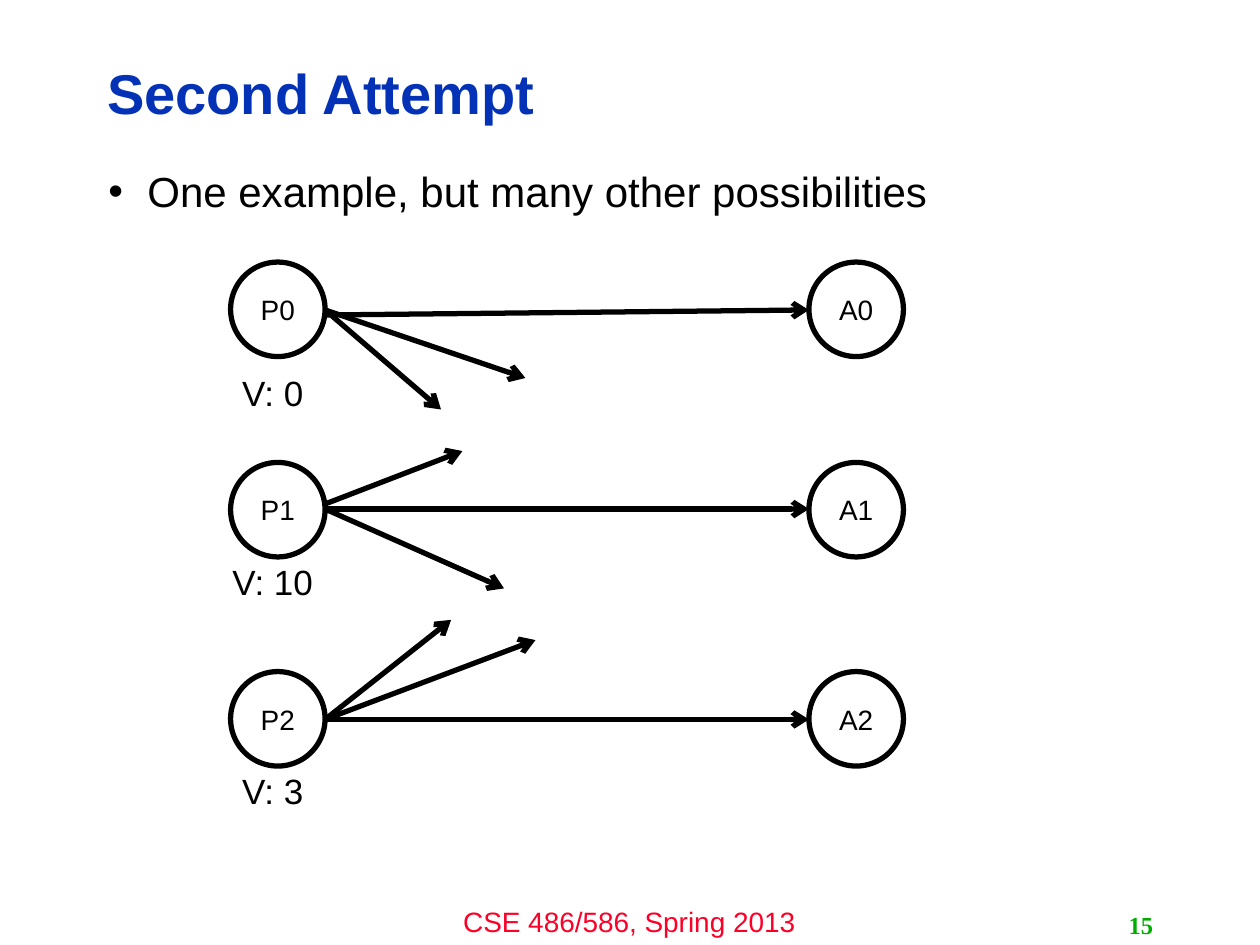
from dataclasses import dataclass

from lxml.etree import SubElement
from pptx import Presentation
from pptx.dml.color import RGBColor as RGB
from pptx.enum.shapes import MSO_CONNECTOR as Conn, MSO_SHAPE as Shape
from pptx.enum.text import MSO_ANCHOR as Anchor, MSO_AUTO_SIZE as Fit, PP_ALIGN as Align
from pptx.oxml.ns import qn
from pptx.util import Inches, Pt


@dataclass(frozen=True)
class Theme:
    ink: str = "000000"
    paper: str = "FFFFFF"
    title: str = "0332B7"
    footer: str = "FC0128"
    number: str = "00AE00"
    font: str = "Arial"
    number_font: str = "Times New Roman"
    title_size: int = 32
    body_size: int = 24
    value_size: int = 20
    label_size: int = 16
    number_size: int = 14
    stroke: int = 3


def write(tf, text, size, color, font="Arial", bold=False, align=Align.CENTER,
          anchor=Anchor.TOP, spacing=1.0):
    tf.word_wrap = True
    tf.auto_size = Fit.NONE
    tf.vertical_anchor = anchor
    p = tf.paragraphs[0]
    p.alignment, p.line_spacing, p.space_before = align, spacing, Pt(0)
    r = p.add_run()
    r.text = text
    r.font.name, r.font.size, r.font.bold = font, Pt(size), bold
    r.font.color.rgb = RGB.from_string(color)
    return p


class Deck:
    def __init__(self, theme):
        self.theme = theme
        self.prs = Presentation()
        self.prs.slide_width, self.prs.slide_height = Inches(10), Inches(7.5)
        self.s = self.prs.slides.add_slide(self.prs.slide_layouts[1])

    def placeholder(self, index, box, text, size, color, **fmt):
        sp = self.s.placeholders[index]
        sp.left, sp.top, sp.width, sp.height = map(Inches, box)
        return write(sp.text_frame, text, size, color, self.theme.font,
                     align=Align.LEFT, spacing=0.9, **fmt)

    def title(self, text, box):
        self.placeholder(0, box, text, self.theme.title_size, self.theme.title,
                         bold=True, anchor=Anchor.MIDDLE)

    def bullet(self, text, box):
        p = self.placeholder(1, box, text, self.theme.body_size, self.theme.ink)
        pPr = p._p.get_or_add_pPr()
        pPr.set("marL", str(Inches(0.31)))
        pPr.set("indent", str(-Inches(0.31)))
        SubElement(pPr, qn("a:buChar"), char="•")

    def text(self, text, box, size, color, **fmt):
        sp = self.s.shapes.add_textbox(*map(Inches, box))
        write(sp.text_frame, text, size, color, **fmt)

    def node(self, text, x, y, d):
        t = self.theme
        sp = self.s.shapes.add_shape(Shape.OVAL, *map(Inches, (x, y, d, d)))
        sp.shadow.inherit = False
        sp.fill.solid()
        sp.fill.fore_color.rgb = RGB.from_string(t.paper)
        sp.line.color.rgb = RGB.from_string(t.ink)
        sp.line.width = Pt(t.stroke)
        write(sp.text_frame, text, t.label_size, t.ink, t.font, anchor=Anchor.MIDDLE)

    def arrow(self, start, end):
        c = self.s.shapes.add_connector(Conn.STRAIGHT, *map(Inches, (*start, *end)))
        c.line.color.rgb = RGB.from_string(self.theme.ink)
        c.line.width = Pt(self.theme.stroke)
        SubElement(c.line._get_or_add_ln(), qn("a:tailEnd"), type="arrow")
        SubElement(c._element.spPr, qn("a:effectLst"))


theme = Theme()
deck = Deck(theme)

# Title, bullet and footer
deck.title("Second Attempt", (0.75, 0.36, 7.98, 0.81))
deck.bullet("One example, but many other possibilities", (0.76, 1.31, 8.4, 5.39))
deck.text("CSE 486/586, Spring 2013", (3.33, 7.13, 3.33, 0.37),
          theme.label_size, theme.footer, font=theme.font)
deck.text("15", (7.17, 7.18, 2.08, 0.32), theme.number_size, theme.number,
          font=theme.number_font, bold=True, align=Align.RIGHT, anchor=Anchor.MIDDLE)

# Each row: node top, value, value top, start height and end of each arrow
DIAMETER, PROPOSER_X, ACCEPTOR_X = 0.75, 1.83, 6.42
START_X = PROPOSER_X + DIAMETER
rows = [
    (2.08, 0, 2.9, [(2.46, (4.17, 3)), (2.46, (3.5, 3.25)), (2.5, (ACCEPTOR_X, 2.46))]),
    (3.67, 10, 4.4, [(4.04, (ACCEPTOR_X, 4.04)), (4, (3.67, 3.58)), (4.04, (4, 4.67))]),
    (5.33, 3, 6.06, [(5.71, (4.25, 5.08)), (5.71, (ACCEPTOR_X, 5.71)), (5.71, (3.58, 4.92))]),
]

# Proposers, acceptors, values and messages
for i, (y, value, value_y, messages) in enumerate(rows):
    deck.node(f"P{i}", PROPOSER_X, y, DIAMETER)
    deck.node(f"A{i}", ACCEPTOR_X, y, DIAMETER)
    deck.text(f"V: {value}", (1.58, value_y, 1.17, 0.44),
              theme.value_size, theme.ink, font=theme.font)
    for start_y, end in messages:
        deck.arrow((START_X, start_y), end)

deck.prs.save("out.pptx")
